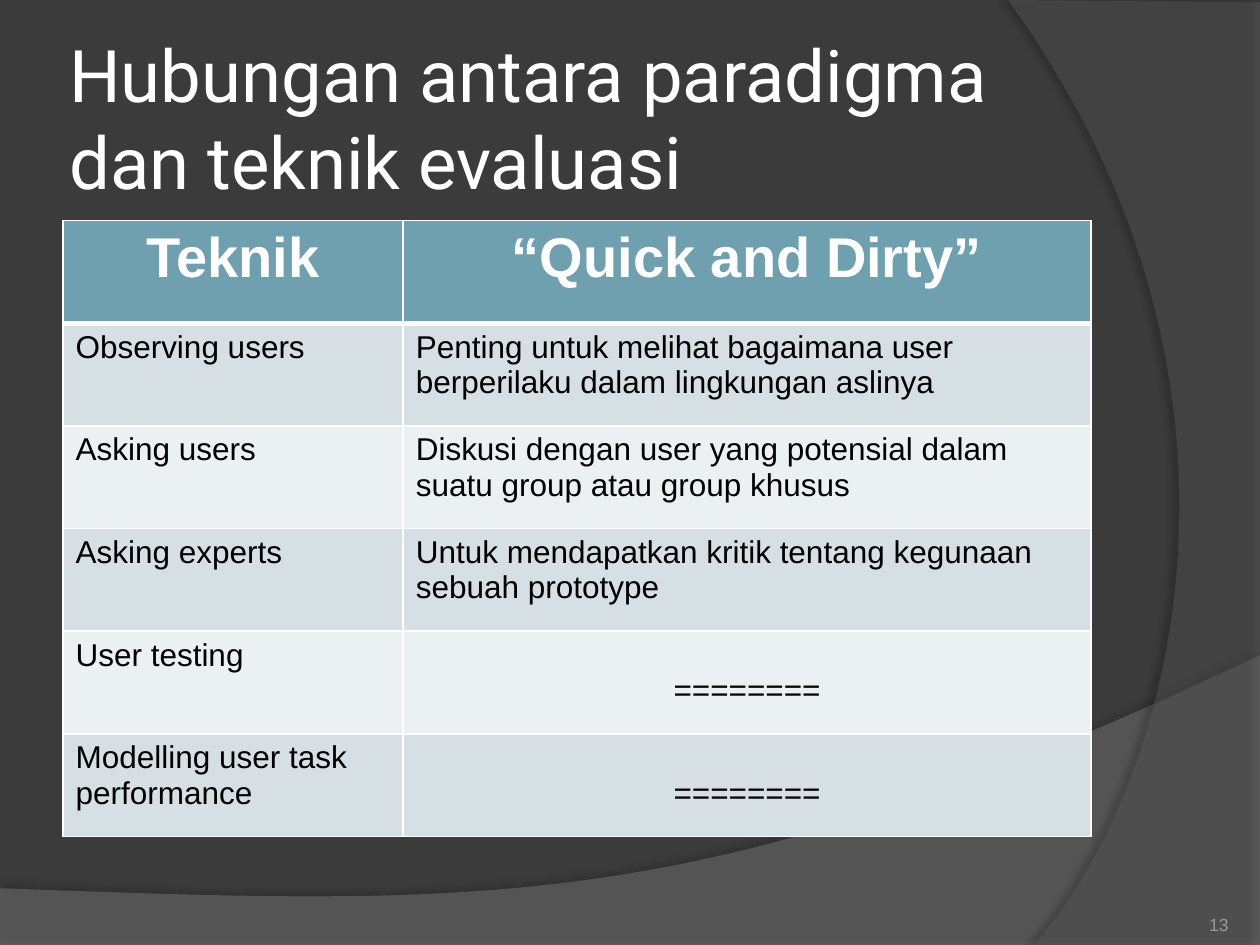
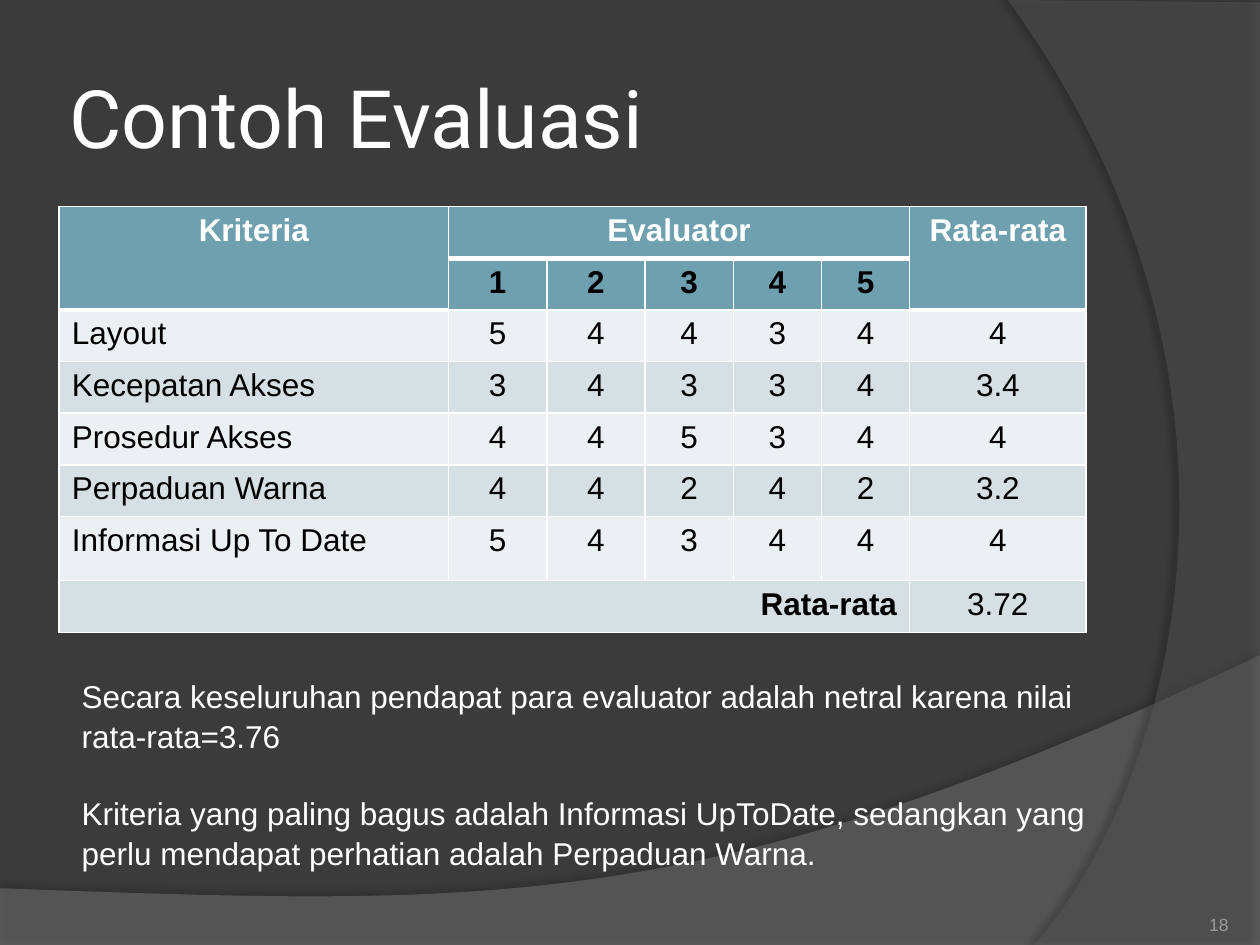
"""Build two dark evaluation slides, each with a title, a table and a page number."""
from dataclasses import dataclass

import lxml.etree
import pptx
import pptx.dml.color
import pptx.enum.text
import pptx.oxml.ns
import pptx.util

Inches = pptx.util.Inches
Point = tuple[float, float]
Box = tuple[float, float, float, float]

LEFT = pptx.enum.text.PP_ALIGN.LEFT
CENTER = pptx.enum.text.PP_ALIGN.CENTER
RIGHT = pptx.enum.text.PP_ALIGN.RIGHT
TOP = pptx.enum.text.MSO_ANCHOR.TOP
MIDDLE = pptx.enum.text.MSO_ANCHOR.MIDDLE
BOTTOM = pptx.enum.text.MSO_ANCHOR.BOTTOM

BACKGROUND, WHITE, BLACK, MUTED = "3B3B3B", "FFFFFF", "000000", "9B9A98"
HEADER, BAND_DARK, BAND_LIGHT = "6EA0B0", "D5DFE4", "EBF0F2"
TITLE_FONT, BODY_FONT = "Roboto", "Arial"
TITLE_BOX: Box = (0.5, 0.3, 8.17, 1.25)
NUMBER_BOX: Box = (8.92, 7.02, 0.83, 0.4)
ONE_LINE = 21.7


@dataclass
class Wave:
    """A translucent background outline with one curved side and a shadow."""
    corners: list[Point]
    curve: list[Point]
    color: str
    opacity: int
    shadow_opacity: int
    shadow_distance: float
    shadow_angle: int


@dataclass
class Entry:
    """The text of one table cell and its format."""
    text: str
    align: pptx.enum.text.PP_ALIGN = LEFT
    bold: bool = False
    color: str = BLACK
    size: float = 18
    margin_top: float = 0.05


@dataclass
class Grid:
    """A table; header_depths counts the heading rows above each column's thick rule."""
    left: float
    top: float
    widths: list[float]
    heights: list[float]
    rows: list[list[Entry | None]]
    header_depths: list[int]
    merges: list[tuple[int, int, int, int]]


WAVES = [
    Wave([(0, 7.05), (0, 7.51), (10, 7.51), (10, 5.2)],
         [(10, 5.2), (5.59, 7.29), (3.91, 7.19), (0, 7.05)],
         "7F7F7F", 45, 35, 3.5, 270),
    Wave([(10, 0.02), (10, 7.5), (8.21, 7.5)],
         [(8.21, 7.5), (9.35, 6.19), (10.18, 3), (8, 0)],
         "5E5E5E", 40, 45, 4, 180),
]


def rgb(color: str) -> pptx.dml.color.RGBColor:
    """Turn a hex string into a colour."""
    return pptx.dml.color.RGBColor.from_string(color)


def add_element(parent, tag: str, **attributes):
    """Append a drawing element with the given attributes."""
    element = lxml.etree.SubElement(parent, pptx.oxml.ns.qn(tag))
    for name, value in attributes.items():
        element.set(name, str(value))
    return element


def curve_points(control: list[Point], steps: int = 48) -> list[Point]:
    """Sample a cubic curve after its starting point."""
    points = []
    for step in range(1, steps + 1):
        t = step / steps
        weights = ((1 - t) ** 3, 3 * t * (1 - t) ** 2, 3 * t * t * (1 - t), t ** 3)
        points.append(tuple(sum(weight * point[axis] for weight, point in zip(weights, control))
                            for axis in (0, 1)))
    return points


def draw_wave(slide, wave: Wave) -> None:
    """Draw one background wave."""
    points = [(Inches(x), Inches(y)) for x, y in wave.corners + curve_points(wave.curve)]
    builder = slide.shapes.build_freeform(*points[0])
    builder.add_line_segments(points[1:], close=True)
    shape = builder.convert_to_shape()
    shape.line.fill.background()
    shape.fill.solid()
    shape.fill.fore_color.rgb = rgb(wave.color)
    properties = shape._element.spPr
    fill_color = properties.find(".//" + pptx.oxml.ns.qn("a:srgbClr"))
    add_element(fill_color, "a:alpha", val=wave.opacity * 1000)
    shape.shadow.inherit = False
    effects = properties.find(pptx.oxml.ns.qn("a:effectLst"))
    shadow = add_element(effects, "a:outerShdw", blurRad=pptx.util.Pt(4),
                         dist=pptx.util.Pt(wave.shadow_distance),
                         dir=wave.shadow_angle * 60000, algn="ctr", rotWithShape=0)
    shadow_color = add_element(shadow, "a:srgbClr", val=BLACK)
    add_element(shadow_color, "a:alpha", val=wave.shadow_opacity * 1000)


def write_text(text_frame, *texts: str, size: float = 18, font: str = BODY_FONT,
               color: str = WHITE, bold: bool = False, align=LEFT,
               gap: float = 0, line_spacing: float = 1.0) -> None:
    """Write one formatted paragraph for each text."""
    for index, text in enumerate(texts):
        paragraph = text_frame.add_paragraph() if index else text_frame.paragraphs[0]
        paragraph.alignment = align
        paragraph.line_spacing = line_spacing
        paragraph.space_before = pptx.util.Pt(gap if index else 0)
        run = paragraph.add_run()
        run.text = text
        run.font.size = pptx.util.Pt(size)
        run.font.name = font
        run.font.bold = bold
        run.font.color.rgb = rgb(color)


def add_text(slide, box: Box, *texts: str, anchor=TOP,
             margins: Point = (0.1, 0.05), **text_format) -> None:
    """Add a wrapping text box."""
    text_frame = slide.shapes.add_textbox(*map(Inches, box)).text_frame
    text_frame.word_wrap = True
    text_frame.vertical_anchor = anchor
    text_frame.margin_left = text_frame.margin_right = Inches(margins[0])
    text_frame.margin_top = text_frame.margin_bottom = Inches(margins[1])
    write_text(text_frame, *texts, **text_format)


def set_borders(cell, top: float, bottom: float) -> None:
    """Give a cell white borders, one point wide at the sides."""
    properties = cell._tc.get_or_add_tcPr()
    widths = {"a:lnL": 1, "a:lnR": 1, "a:lnT": top, "a:lnB": bottom}
    for position, (tag, width) in enumerate(widths.items()):
        line = add_element(properties, tag, w=pptx.util.Pt(width))
        add_element(add_element(line, "a:solidFill"), "a:srgbClr", val=WHITE)
        properties.insert(position, line)


def add_grid(slide, grid: Grid) -> None:
    """Draw a banded table with its headings and merged cells."""
    frame = slide.shapes.add_table(
        len(grid.heights), len(grid.widths), Inches(grid.left), Inches(grid.top),
        Inches(sum(grid.widths)), Inches(sum(grid.heights)))
    table = frame.table
    table.first_row = table.horz_banding = False
    for column, width in zip(table.columns, grid.widths):
        column.width = Inches(width)
    for row, height in zip(table.rows, grid.heights):
        row.height = Inches(height)
    for row_index, entries in enumerate(grid.rows):
        band = BAND_DARK if row_index % 2 else BAND_LIGHT
        fill = HEADER if row_index < max(grid.header_depths) else band
        for column_index, entry in enumerate(entries):
            cell = table.cell(row_index, column_index)
            cell.fill.solid()
            cell.fill.fore_color.rgb = rgb(fill)
            depth = grid.header_depths[column_index]
            set_borders(cell, top=3 if row_index == depth else 1,
                        bottom=3 if row_index < depth else 1)
            if entry:
                cell.margin_top = Inches(entry.margin_top)
                write_text(cell.text_frame, entry.text, size=entry.size, color=entry.color,
                           bold=entry.bold, align=entry.align)
    for first_row, first_column, last_row, last_column in grid.merges:
        table.cell(first_row, first_column).merge(table.cell(last_row, last_column))


def heading(text: str, size: float = 18, color: str = WHITE) -> Entry:
    """Make a bold centred heading cell."""
    return Entry(text, CENTER, True, color, size)


def score(value: float) -> Entry:
    """Make a centred number cell."""
    return Entry(f"{value:g}", CENTER)


def add_slide(presentation, title: str, title_size: float, number: int):
    """Add a slide with the shared background, title and page number."""
    slide = presentation.slides.add_slide(presentation.slide_layouts[6])
    slide.background.fill.solid()
    slide.background.fill.fore_color.rgb = rgb(BACKGROUND)
    for wave in WAVES:
        draw_wave(slide, wave)
    add_text(slide, TITLE_BOX, title, size=title_size, font=TITLE_FONT,
             anchor=MIDDLE, margins=(0.05, 0.05))
    add_text(slide, NUMBER_BOX, str(number), size=10, color=MUTED, align=RIGHT,
             anchor=BOTTOM, margins=(0, 0))
    return slide


def add_technique_slide(presentation) -> None:
    """Add the slide that relates techniques to the paradigm."""
    slide = add_slide(presentation, "Hubungan antara paradigma dan teknik evaluasi", 41.4, 13)
    unused = Entry("========", CENTER, margin_top=0.33)
    techniques = [
        ("Observing users",
         Entry("Penting untuk melihat bagaimana user berperilaku dalam lingkungan aslinya")),
        ("Asking users",
         Entry("Diskusi dengan user yang potensial dalam suatu group atau group khusus")),
        ("Asking experts", Entry("Untuk mendapatkan kritik tentang kegunaan sebuah prototype")),
        ("User testing", unused),
        ("Modelling user task performance", unused),
    ]
    rows = [[heading("Teknik", 32), heading("“Quick and Dirty”", 32)]]
    rows += [[Entry(name), use] for name, use in techniques]
    add_grid(slide, Grid(0.5, 1.75, [2.7, 5.46], [4.89 / len(rows)] * len(rows),
                         rows, [1, 1], []))


def add_example_slide(presentation) -> None:
    """Add the slide with the evaluators' scores and their averages."""
    slide = add_slide(presentation, "Contoh Evaluasi", 46, 18)
    scores = {
        "Layout": (5, 4, 4, 3, 4),
        "Kecepatan Akses": (3, 4, 3, 3, 4),
        "Prosedur Akses": (4, 4, 5, 3, 4),
        "Perpaduan Warna": (4, 4, 2, 4, 2),
        "Informasi Up To Date": (5, 4, 3, 4, 4),
    }
    averages = [sum(values) / len(values) for values in scores.values()]
    rows = [
        [heading("Kriteria"), heading("Evaluator"), *[None] * 4, heading("Rata-rata")],
        [None, *[heading(str(number), color=BLACK) for number in range(1, 6)], None],
    ]
    for (criterion, values), average in zip(scores.items(), averages):
        rows.append([Entry(criterion), *map(score, values), score(average)])
    rows.append([Entry("Rata-rata", RIGHT, True), *[None] * 5,
                 score(sum(averages) / len(averages))])
    add_grid(slide, Grid(
        0.47, 1.64, [3.09, 0.78, 0.78, 0.7, 0.7, 0.7, 1.4], [0.41] * 6 + [0.51, 0.41],
        rows, [2, 1, 1, 1, 1, 1, 2],
        [(0, 0, 1, 0), (0, 1, 0, 5), (0, 6, 1, 6), (7, 0, 7, 5)]))
    add_text(slide, (0.55, 5.31, 8.44, 1.62),
             "Secara keseluruhan pendapat para evaluator adalah netral karena nilai "
             "rata-rata=3.76",
             "Kriteria yang paling bagus adalah Informasi UpToDate, sedangkan yang perlu "
             "mendapat perhatian adalah Perpaduan Warna.",
             gap=ONE_LINE, line_spacing=1.05)


def main() -> None:
    """Build and save the presentation."""
    presentation = pptx.Presentation()
    presentation.slide_width = Inches(10)
    presentation.slide_height = Inches(7.5)
    add_technique_slide(presentation)
    add_example_slide(presentation)
    presentation.save("out.pptx")


main()
